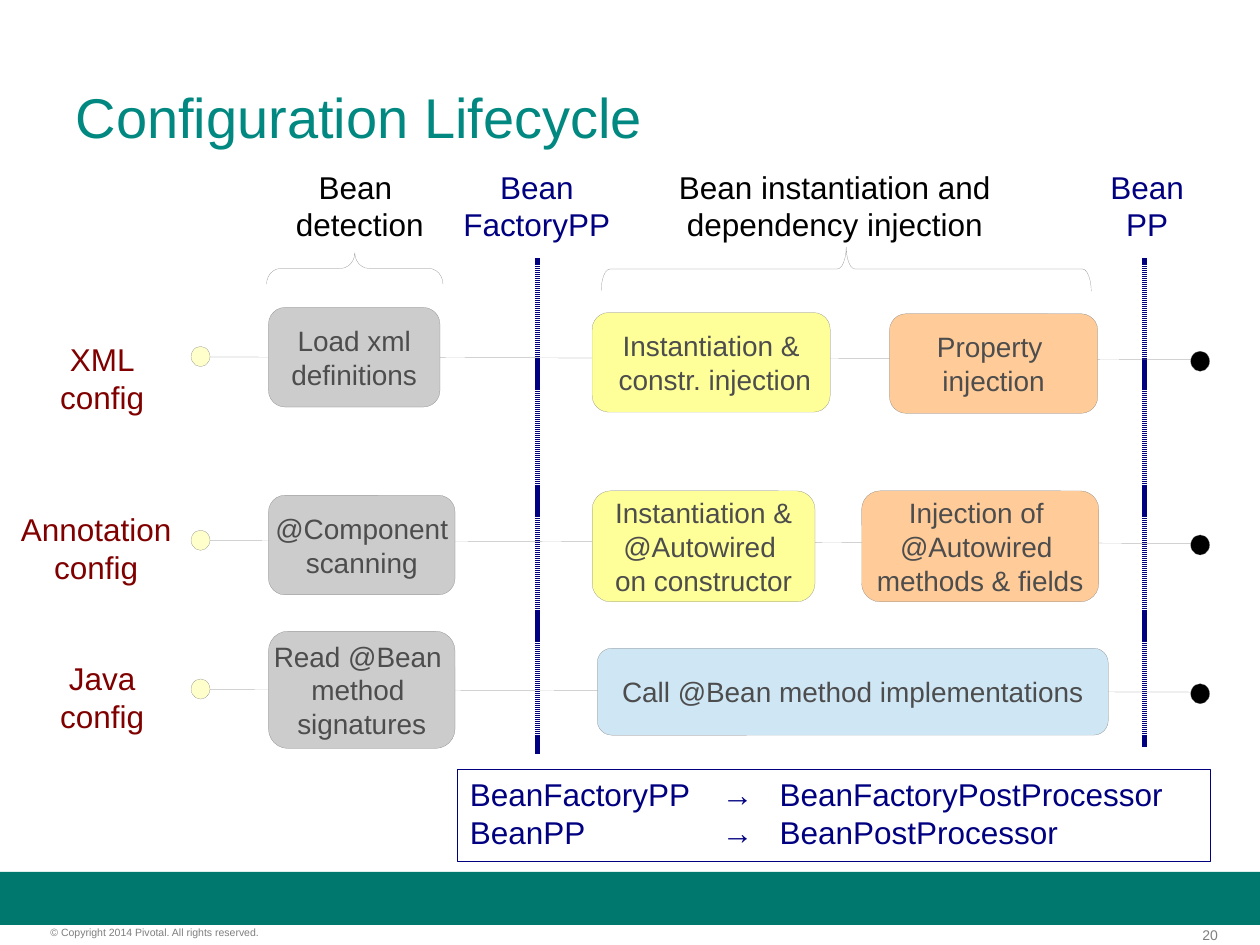
from lxml.etree import SubElement
from pptx import Presentation
from pptx.dml.color import RGBColor
from pptx.enum.shapes import MSO_CONNECTOR, MSO_SHAPE
from pptx.enum.text import MSO_ANCHOR, PP_ALIGN
from pptx.oxml.ns import qn
from pptx.util import Pt

HUES = {
    "teal": "008881", "band": "00786E", "navy": "000080", "maroon": "800000",
    "black": "000000", "white": "FFFFFF", "edge": "808080", "foot": "7F7F7F",
    "ink": "4D4D4D", "cream": "FFFFCC", "grey": "CCCCCC", "yellow": "FFFF99",
    "orange": "FFCC99", "sky": "CFE7F5",
}
HAIR = 0.1

# Dot top, then boxes: left, top, width, height, fill, text
ROWS = [
    (198, [
        (153.4, 175.7, 98, 56.9, "grey", "Load xml\ndefinitions"),
        (338.4, 178.6, 136, 56.9, "yellow", "Instantiation &\n constr. injection"),
        (508.3, 179.3, 119, 56.9, "orange", "Property \ninjection"),
    ]),
    (303, [
        (153.4, 283, 106.6, 56.9, "grey", "@Component\nscanning"),
        (338.4, 280.5, 127.3, 63.4, "yellow",
         "Instantiation &\n@Autowired \non constructor"),
        (492.4, 280.5, 135.5, 63.4, "orange",
         "Injection of \n@Autowired \nmethods & fields"),
    ]),
    (388, [
        (153.4, 360.7, 106.6, 67, "grey", "Read @Bean \nmethod \nsignatures"),
        (341.3, 370.4, 292, 49.7, "sky", "Call @Bean method implementations"),
    ]),
]

# Left, top, width, height, colour, text
LABELS = [
    (251.3, 92.2, 111, 50.4, "navy", "Bean\vFactoryPP"),
    (157, 92.2, 97.2, 50.4, "black", "Bean \ndetection"),
    (381, 92.2, 192, 50.4, "black", "Bean instantiation and\vdependency injection"),
    (609, 92.2, 93, 50.4, "navy", "Bean\nPP"),
    (27.4, 190.8, 62, 57.6, "maroon", "XML\nconfig"),
    (5, 288, 100, 50.4, "maroon", "Annotation\nconfig"),
    (27.4, 373, 62, 50.4, "maroon", "Java\nconfig"),
]


def points(*nums):
    return [Pt(num) for num in nums]


def rgb(hue):
    return RGBColor.from_string(HUES[hue])


def apply(thing, **values):
    for name, value in values.items():
        setattr(thing, name, value)


def write(frame, text, size, hue, align=PP_ALIGN.CENTER, **values):
    apply(frame, text=text, **values)
    for para in frame.paragraphs:
        para.alignment = align
        for run in para.runs:
            apply(run.font, name="Arial", size=Pt(size))
            run.font.color.rgb = rgb(hue)


def label(slide, place, text, size, hue, align=PP_ALIGN.CENTER, inset=0):
    """Add text with no side margins; inset is the margin above and below."""
    frame = slide.shapes.add_textbox(*points(*place)).text_frame
    write(frame, text, size, hue, align, word_wrap=True, margin_left=0,
          margin_right=0, margin_top=Pt(inset), margin_bottom=Pt(inset))


def shape(slide, kind, place, fill=None, edge=None):
    item = slide.shapes.add_shape(kind, *points(*place))
    item.shadow.inherit = False
    if fill:
        item.fill.solid()
        item.fill.fore_color.rgb = rgb(fill)
    else:
        item.fill.background()
    if edge:
        item.line.color.rgb = rgb(edge)
        item.line.width = Pt(HAIR)
    else:
        item.line.fill.background()
    return item


def line(slide, ends, hue, width):
    item = slide.shapes.add_connector(MSO_CONNECTOR.STRAIGHT, *points(*ends))
    item.line.color.rgb = rgb(hue)
    item.line.width = Pt(width)
    SubElement(item._element.spPr, qn("a:effectLst"))
    return item


def bar(slide, x, foot):
    """Draw a finely striped vertical bar."""
    item = line(slide, (x, 147.6, x, foot), "navy", 2.83)
    dash = SubElement(item.line._get_or_add_ln(), qn("a:custDash"))
    SubElement(dash, qn("a:ds"), d="25000", sp="15000")


def brace(slide, place, bend):
    """Draw a brace that points up; place is its box before the turn."""
    item = shape(slide, MSO_SHAPE.LEFT_BRACE, place, edge="edge")
    item.rotation = 90
    item.adjustments[0] = bend


def row(slide, top, boxes):
    line(slide, (119.5, top + 6, 681, top + 7.5), "edge", HAIR)
    for left, y, hue in ((109.2, top, "cream"), (680.4, top + 2.7, "black")):
        shape(slide, MSO_SHAPE.OVAL, (left, y, 10.8, 11.5), hue, "edge")
    for *place, hue, text in boxes:
        item = shape(slide, MSO_SHAPE.ROUNDED_RECTANGLE, place, hue, "edge")
        write(item.text_frame, text, 16, "ink", word_wrap=False,
              vertical_anchor=MSO_ANCHOR.MIDDLE)


def legend(slide):
    item = shape(slide, MSO_SHAPE.RECTANGLE, (261.4, 439.6, 430.4, 52.6), "white", "navy")
    text = "BeanFactoryPP\t→\tBeanFactoryPostProcessor\nBeanPP\t→\tBeanPostProcessor"
    write(item.text_frame, text, 18, "navy", PP_ALIGN.LEFT, word_wrap=True,
          vertical_anchor=MSO_ANCHOR.TOP)
    for para in item.text_frame.paragraphs:
        tabs = SubElement(para._p.get_or_add_pPr(), qn("a:tabLst"))
        for stop in points(144, 177):
            SubElement(tabs, qn("a:tab"), pos=str(stop), algn="l")


def title(slide, text):
    item = slide.shapes.title
    left, top, width, height = points(36, 21.6, 648, 90)
    apply(item, left=left, top=top, width=width, height=height)
    write(item.text_frame, text, 32, "teal", PP_ALIGN.LEFT,
          vertical_anchor=MSO_ANCHOR.MIDDLE)


def footer(slide):
    shape(slide, MSO_SHAPE.RECTANGLE, (0, 498.2, 720, 30.4), "band")
    label(slide, (654.2, 529.2, 41.8, 9.4), "20", 8, "foot", PP_ALIGN.RIGHT)
    label(slide, (28.8, 529.2, 179.3, 7.2),
          "© Copyright 2014 Pivotal. All rights reserved.", 6, "foot", PP_ALIGN.LEFT)


def main():
    deck = Presentation()
    apply(deck, slide_width=Pt(720), slide_height=Pt(540))
    slide = deck.slides.add_slide(deck.slide_layouts[5])
    footer(slide)
    title(slide, "Configuration Lifecycle")
    for *place, hue, text in LABELS:
        label(slide, place, text, 18, hue, inset=3.6)
    brace(slide, (193.7, 103, 18, 100.8), 0.45)
    brace(slide, (470.9, 13.7, 25.2, 280), 0.2)
    bar(slide, 307.4, 430.6)
    bar(slide, 653.8, 427)
    for top, boxes in ROWS:
        row(slide, top, boxes)
    legend(slide)
    deck.save("out.pptx")


if __name__ == "__main__":
    main()
